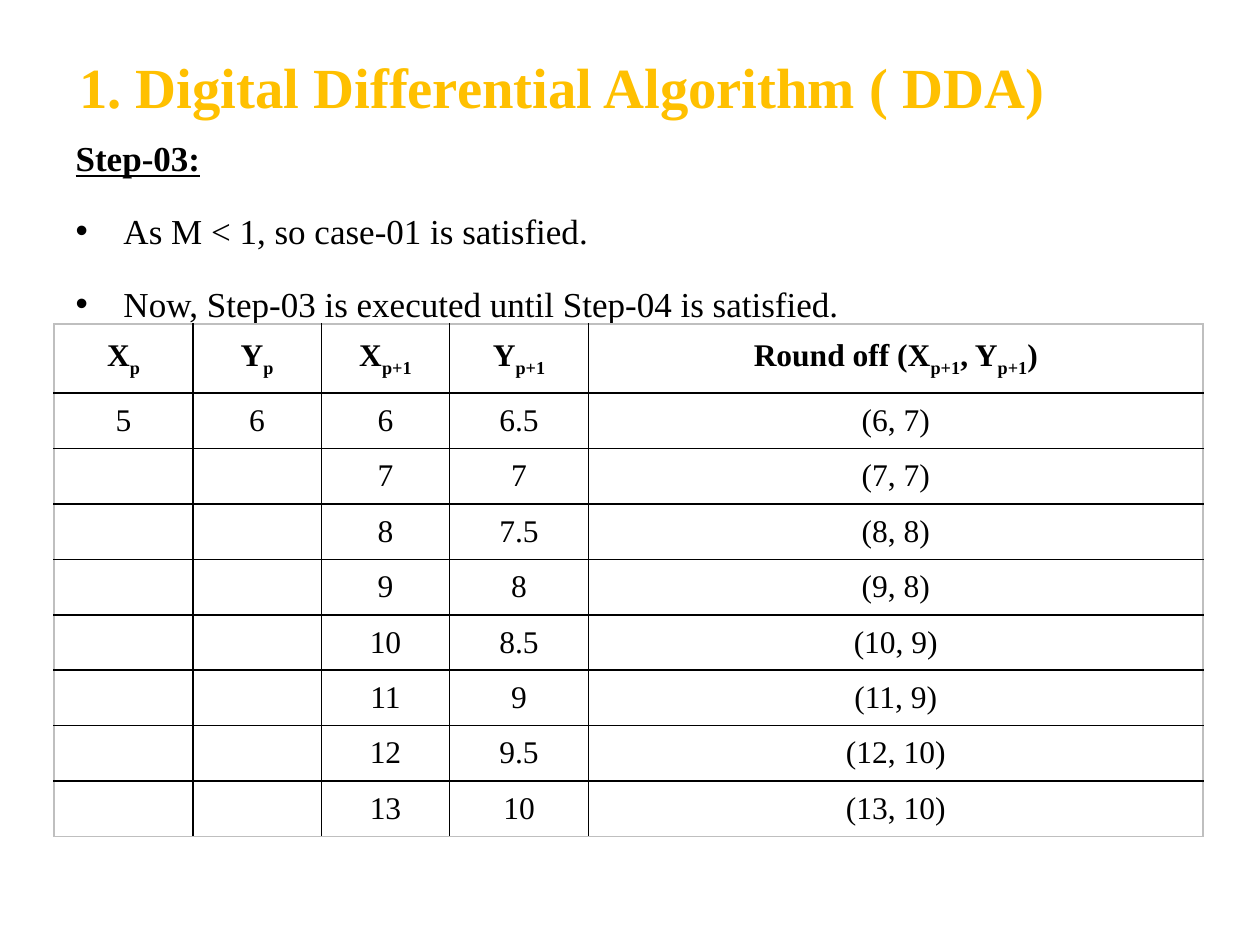
import pptx
import pptx.util
import pptx.dml.color
import pptx.enum.text
import pptx.oxml.ns
from lxml import etree

Inches = pptx.util.Inches
Pt = pptx.util.Pt
PP_ALIGN = pptx.enum.text.PP_ALIGN
MSO_ANCHOR = pptx.enum.text.MSO_ANCHOR

COLUMNS = [1.1, 1.02, 1.02, 1.1, 4.88]
HEADERS = ["X|p", "Y|p", "X|p+1", "Y|p+1", "Round off (X|p+1|, Y|p+1|)"]
POINTS = [
    ("6", "6.5", "(6, 7)"),
    ("7", "7", "(7, 7)"),
    ("8", "7.5", "(8, 8)"),
    ("9", "8", "(9, 8)"),
    ("10", "8.5", "(10, 9)"),
    ("11", "9", "(11, 9)"),
    ("12", "9.5", "(12, 10)"),
    ("13", "10", "(13, 10)"),
]


def rgb(value):
    return pptx.dml.color.RGBColor.from_string(value)


def add_xml(parent, tag, **attributes):
    return etree.SubElement(parent, pptx.oxml.ns.qn(tag), **attributes)


class SlideBuilder:
    font = "Times New Roman"
    ink = "000000"
    accent = "FFC000"
    edge = "BFBFBF"
    paper = "FFFFFF"

    def __init__(self, s):
        self.s = s

    def style(self, p, size, color, bold=False):
        p.font.name = self.font
        p.font.size = Pt(size)
        p.font.bold = bold
        p.font.color.rgb = rgb(color)

    def place(self, sp, left, top, width, height):
        sp.left, sp.top = Inches(left), Inches(top)
        sp.width, sp.height = Inches(width), Inches(height)
        tf = sp.text_frame
        tf.word_wrap = True
        tf.auto_size = pptx.enum.text.MSO_AUTO_SIZE.NONE
        tf.vertical_anchor = MSO_ANCHOR.TOP
        return tf

    def title(self, text, *box):
        tf = self.place(self.s.shapes.title, *box)
        tf.margin_top = Inches(0.1)
        p = tf.paragraphs[0]
        p.text = text
        p.alignment = PP_ALIGN.CENTER
        p.line_spacing = 0.9
        self.style(p, 32.4, self.accent, True)

    def body(self, heading, bullets, *box):
        tf = self.place(self.s.placeholders[1], *box)
        tf.margin_top = Inches(0.08)
        for i, text in enumerate([heading] + bullets):
            p = tf.paragraphs[0] if i == 0 else tf.add_paragraph()
            p.text = text
            p.line_spacing = 1.5
            p.space_before = Pt(5.5 if i else 0)
            pPr = p._p.get_or_add_pPr()
            pPr.set("marL", str(Inches(0.38)))
            pPr.set("indent", str(-Inches(0.38) if i else 0))
            if i:
                add_xml(pPr, "a:buFont", typeface="Arial")
                add_xml(pPr, "a:buChar", char="•")
            else:
                pPr.set("marL", "0")
                add_xml(pPr, "a:buNone")
            self.style(p, 20, self.ink, i == 0)
            p.font.underline = i == 0

    def borders(self, cell, outer):
        tcPr = cell._tc.get_or_add_tcPr()
        for side, is_outer in zip("LRTB", outer):
            ln = add_xml(tcPr, f"a:ln{side}", w=str(Pt(1)))
            fill = add_xml(ln, "a:solidFill")
            add_xml(fill, "a:srgbClr", val=self.edge if is_outer else self.ink)

    def cell(self, cell, text, bold):
        cell.vertical_anchor = MSO_ANCHOR.MIDDLE
        cell.margin_left = cell.margin_right = Inches(0.1)
        cell.margin_top = cell.margin_bottom = Inches(0.08)
        cell.fill.solid()
        cell.fill.fore_color.rgb = rgb(self.paper)
        p = cell.text_frame.paragraphs[0]
        p.alignment = PP_ALIGN.CENTER
        self.style(p, 18, self.ink, bold)
        if not text:
            return
        for i, part in enumerate(text.split("|")):
            r = p.add_run()
            r.text = part
            if i % 2:
                r.font._element.set("baseline", "-25000")

    def table(self, rows, widths, left, top, header_height, row_height):
        height = header_height + row_height * (len(rows) - 1)
        frame = self.s.shapes.add_table(
            len(rows), len(widths), Inches(left), Inches(top),
            Inches(sum(widths)), Inches(height))
        table = frame.table
        table.first_row = table.horz_banding = False
        for column, width in zip(table.columns, widths):
            column.width = Inches(width)
        last_row, last_column = len(rows) - 1, len(widths) - 1
        for i, row in enumerate(rows):
            table.rows[i].height = Inches(row_height if i else header_height)
            for j, text in enumerate(row):
                cell = table.cell(i, j)
                self.borders(cell, (j == 0, j == last_column, i == 0, i == last_row))
                self.cell(cell, text, i == 0)


def main():
    prs = pptx.Presentation()
    prs.slide_width, prs.slide_height = Inches(10), Inches(7.5)
    slide = SlideBuilder(prs.slides.add_slide(prs.slide_layouts[1]))
    slide.title("1. Digital Differential Algorithm ( DDA)", -0.04, 0.37, 9, 1.25)
    slide.body(
        "Step-03:",
        ["As M < 1, so case-01 is satisfied.",
         "Now, Step-03 is executed until Step-04 is satisfied."],
        0.5, 0.84, 9, 5.47)
    starts = [("5", "6")] + [("", "")] * (len(POINTS) - 1)
    rows = [HEADERS] + [start + point for start, point in zip(starts, POINTS)]
    slide.table(rows, COLUMNS, 0.43, 2.57, 0.55, 0.44)
    prs.save("out.pptx")


if __name__ == "__main__":
    main()
